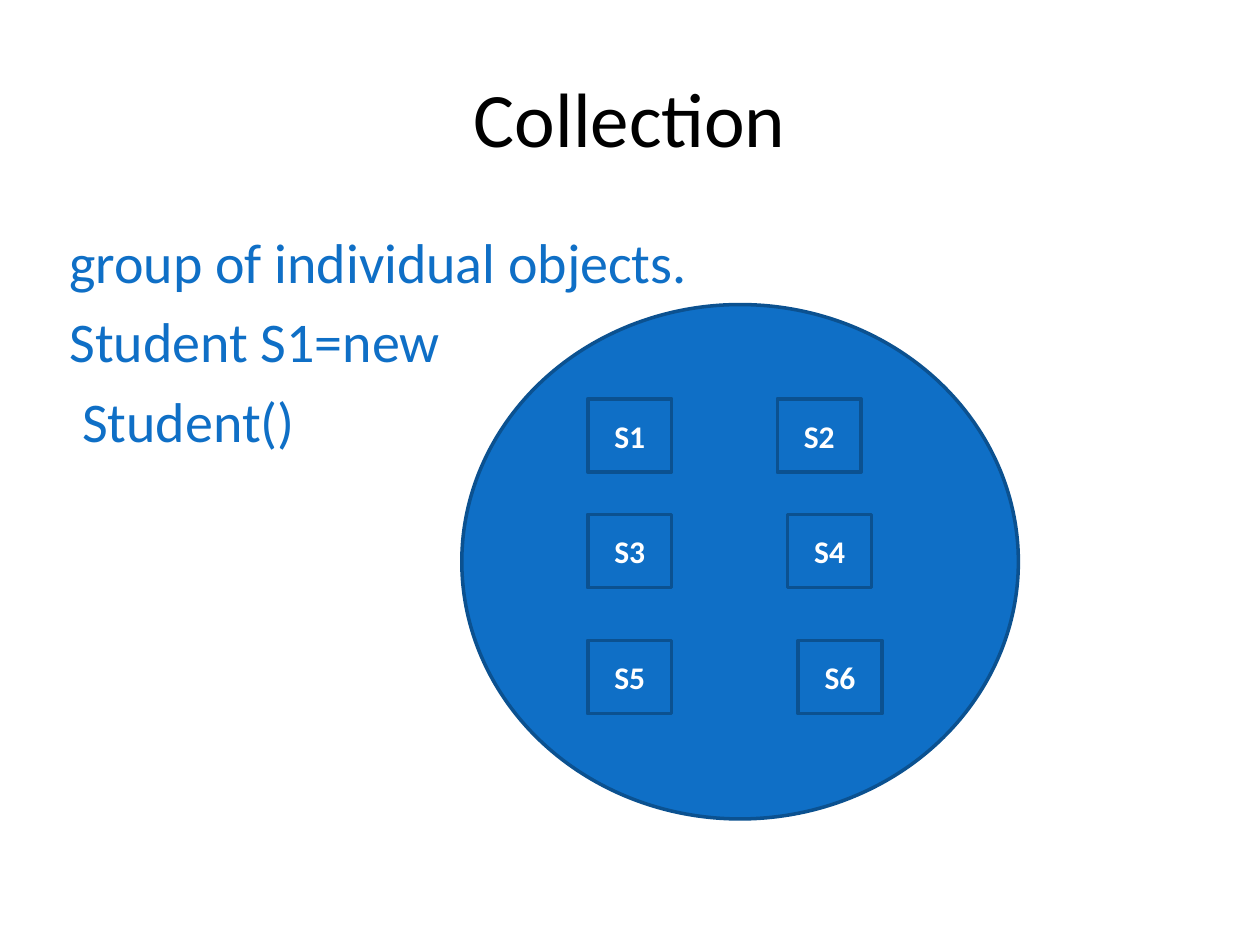
from pptx import Presentation
from pptx.dml.color import RGBColor
from pptx.enum.shapes import MSO_SHAPE as Shape
from pptx.enum.text import MSO_ANCHOR as Anchor, PP_ALIGN as Align
from pptx.util import Cm, Pt

COLORS = {"title": "000000", "blue": "0F6FC6", "outline": "0B5190", "label": "FFFFFF"}
FONT = "Calibri"
INSET = Cm(0.13)
BOX_WIDTH, BOX_HEIGHT = 1.69, 1.48
LABEL_HEIGHT = 0.93
LEFT_COLUMN, RIGHT_COLUMN, RIGHT_SHIFT = 11.85, 15.67, 0.21
ROW_TOPS = (8.04, 10.37, 12.91)


def add_text(shapes, text, left, top, width, height, size, color,
             bold=False, align=Align.LEFT, anchor=Anchor.TOP, space_before=0):
    frame = shapes.add_textbox(Cm(left), Cm(top), Cm(width), Cm(height)).text_frame
    frame.word_wrap = True
    frame.vertical_anchor = anchor
    frame.margin_left = frame.margin_right = INSET
    frame.margin_top = frame.margin_bottom = INSET
    frame.text = text
    for index, paragraph in enumerate(frame.paragraphs):
        paragraph.alignment = align
        paragraph.space_before = Pt(space_before if index else 0)
        for run in paragraph.runs:
            run.font.name = FONT
            run.font.size = Pt(size)
            run.font.bold = bold
            run.font.color.rgb = RGBColor.from_string(COLORS[color])


def add_outlined(shapes, kind, left, top, width, height):
    outlined = shapes.add_shape(kind, Cm(left), Cm(top), Cm(width), Cm(height))
    outlined.shadow.inherit = False
    outlined.fill.solid()
    outlined.fill.fore_color.rgb = RGBColor.from_string(COLORS["blue"])
    outlined.line.color.rgb = RGBColor.from_string(COLORS["outline"])
    outlined.line.width = Pt(2)


def add_student(slide, name, left, top):
    student = slide.shapes.add_group_shape().shapes
    add_outlined(student, Shape.RECTANGLE, left, top, BOX_WIDTH, BOX_HEIGHT)
    add_text(student, name, left + 0.13, top + (BOX_HEIGHT - LABEL_HEIGHT) / 2,
             BOX_WIDTH - 0.26, LABEL_HEIGHT, size=18, color="label", bold=True,
             align=Align.CENTER, anchor=Anchor.MIDDLE)


def main():
    deck = Presentation()
    deck.slide_width, deck.slide_height = Cm(25.4), Cm(19.05)
    slide = deck.slides.add_slide(deck.slide_layouts[6])

    add_text(slide.shapes, "Collection", 1.27, 0.76, 22.86, 3.18, size=44,
             color="title", align=Align.CENTER, anchor=Anchor.MIDDLE)
    add_text(slide.shapes, "group of individual objects.\nStudent S1=new\n Student()",
             1.27, 4.45, 22.86, 12.57, size=32, color="blue", space_before=7)
    add_outlined(slide.shapes, Shape.OVAL, 9.31, 6.14, 11.22, 10.37)

    for row, top in enumerate(ROW_TOPS):
        columns = (LEFT_COLUMN, RIGHT_COLUMN + row * RIGHT_SHIFT)
        for number, left in enumerate(columns, start=2 * row + 1):
            add_student(slide, f"S{number}", left, top)

    deck.save("out.pptx")


if __name__ == "__main__":
    main()
